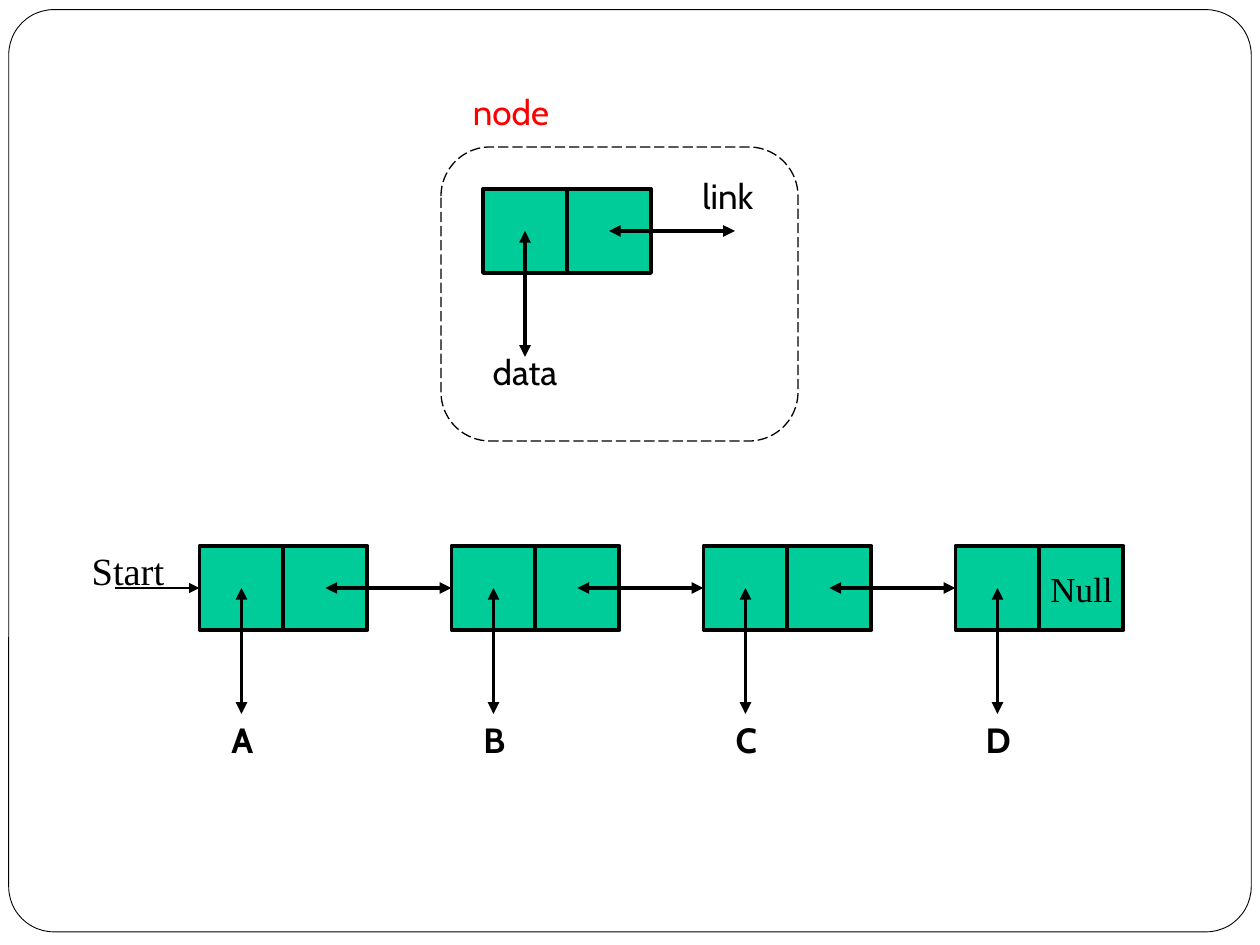
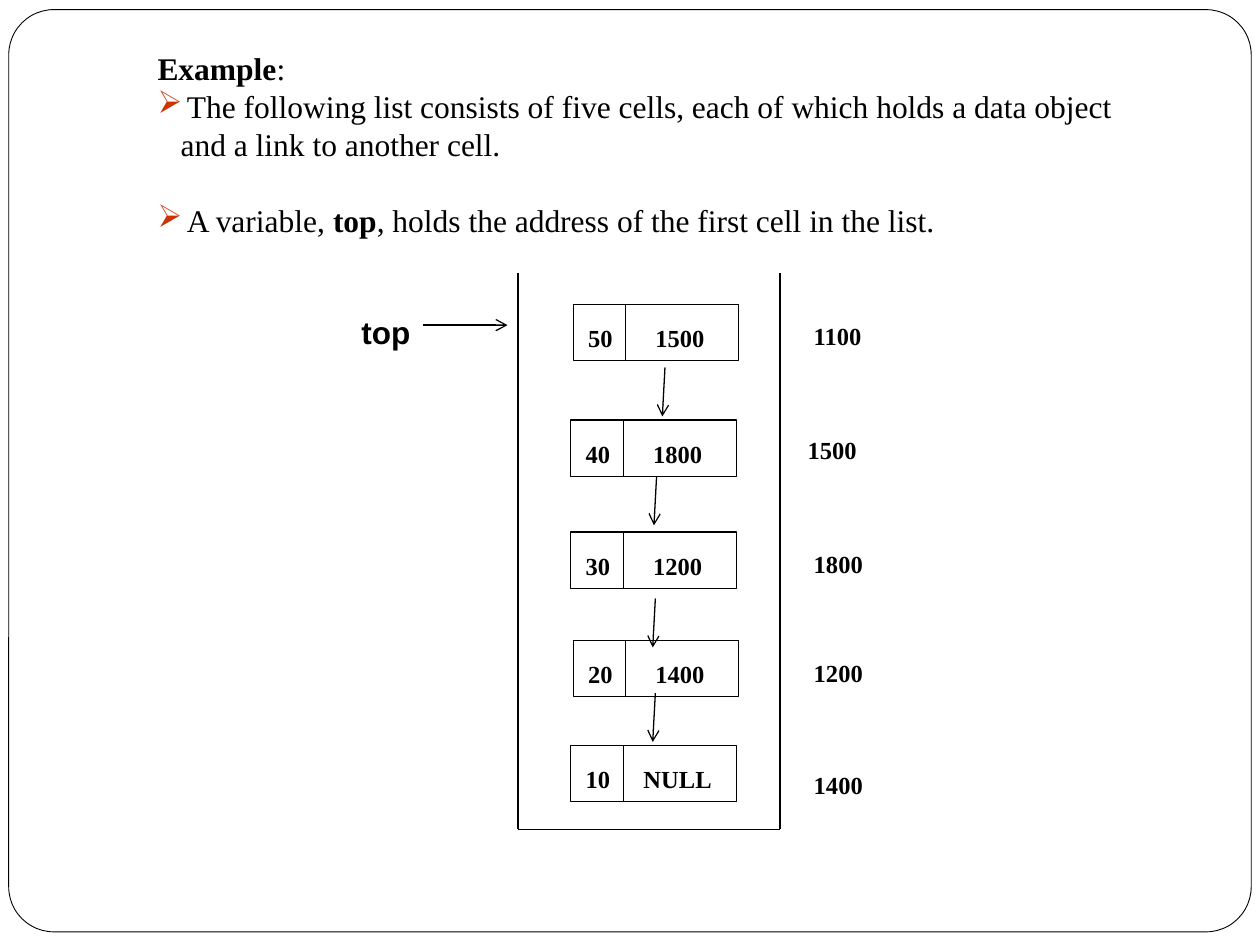
import pptx
import pptx.dml.color
import pptx.enum.dml
import pptx.enum.shapes
import pptx.enum.text
import pptx.oxml
import pptx.oxml.ns
import pptx.util

Pt = pptx.util.Pt
Shape = pptx.enum.shapes.MSO_SHAPE
Align = pptx.enum.text.PP_ALIGN
Anchor = pptx.enum.text.MSO_ANCHOR
RGB = pptx.dml.color.RGBColor.from_string
qn = pptx.oxml.ns.qn

COLORS = {"ink": "000000", "paper": "FFFFFF", "cell": "00CC99",
          "accent": "FF0000", "bullet": "CC3300"}
SERIF, SANS, LABEL = "Times New Roman", "Arial", "Cabin"


def add_box(page, text, left, top, width, height, shape=None, fill=None, line=0.75,
            corner=None, font=SERIF, size=14, bold=False, color="ink", align=Align.LEFT):
    """Add a text box, or an outlined preset shape when shape is given."""
    place = Pt(left), Pt(top), Pt(width), Pt(height)
    if shape is None:
        box = page.shapes.add_textbox(*place)
    else:
        box = page.shapes.add_shape(shape, *place)
        box.shadow.inherit = False
        box.line.color.rgb = RGB(COLORS["ink"])
        box.line.width = Pt(line)
        if fill:
            box.fill.solid()
            box.fill.fore_color.rgb = RGB(COLORS[fill])
        else:
            box.fill.background()
        if corner is not None:
            box.adjustments[0] = corner
    frame = box.text_frame
    frame.word_wrap = True
    frame.margin_left = frame.margin_right = frame.margin_top = frame.margin_bottom = 0
    frame.vertical_anchor = Anchor.TOP if shape is None else Anchor.MIDDLE
    if text:
        para = frame.paragraphs[0]
        para.alignment = align
        span = para.add_run()
        span.text = text
        span.font.name, span.font.size, span.font.bold = font, Pt(size), bold
        span.font.color.rgb = RGB(COLORS[color])
    return box


def add_line(page, x1, y1, x2, y2, width=0.75, head=None, tail=None):
    line = page.shapes.add_connector(pptx.enum.shapes.MSO_CONNECTOR.STRAIGHT,
                                     Pt(x1), Pt(y1), Pt(x2), Pt(y2))
    line.line.color.rgb = RGB(COLORS["ink"])
    line.line.width = Pt(width)
    outline = line.line._get_or_add_ln()
    for tag, kind in (("a:headEnd", head), ("a:tailEnd", tail)):
        if kind:
            outline.append(pptx.oxml.parse_xml(
                f'<{tag} {pptx.oxml.ns.nsdecls("a")} type="{kind}"/>'))
    line._element.spPr.append(pptx.oxml.parse_xml(
        f'<a:effectLst {pptx.oxml.ns.nsdecls("a")}/>'))


deck = pptx.Presentation()
deck.slide_width, deck.slide_height = Pt(720), Pt(540)
pages = [deck.slides.add_slide(deck.slide_layouts[6]) for number in range(2)]
for page in pages:
    add_box(page, "", 5, 5.5, 710, 527, shape=Shape.ROUNDED_RECTANGLE,
            line=0.5, corner=0.049)

# Slide 1: one node enlarged, and a list of four nodes
page = pages[0]
CELL = 48
ARROW = 72
STEP = 3 * CELL
LIST_LEFT, LIST_TOP = 114, 312
NODE_LEFT, NODE_TOP = 276, 108

outline = add_box(page, "", 252, 84, 204, 168, shape=Shape.ROUNDED_RECTANGLE, corner=0.167)
outline.line.dash_style = pptx.enum.dml.MSO_LINE.LONG_DASH
for text, center, top, color in (("node", 292, 51.6, "accent"),
                                 ("link", 416, 99.6, "ink"),
                                 ("data", 300, 200.2, "ink")):
    add_box(page, text, center - 40, top, 80, 24, font=LABEL, size=20,
            color=color, align=Align.CENTER)

nodes = [(NODE_LEFT, NODE_TOP, None)]
nodes += [(LIST_LEFT + STEP * index, LIST_TOP, name) for index, name in enumerate("ABCD")]
for left, top, name in nodes:
    is_last = name == "D"
    middle = top + CELL / 2
    data_x, link_x = left + CELL / 2, left + CELL * 1.5
    for cell_left, text in ((left, ""), (left + CELL, "Null" if is_last else "")):
        add_box(page, text, cell_left, top, CELL, CELL, shape=Shape.RECTANGLE,
                fill="cell", line=2.25, size=20, align=Align.CENTER)
    add_line(page, data_x, middle, data_x, middle + ARROW, 2.25, "triangle", "triangle")
    if not is_last:
        add_line(page, link_x, middle, link_x + ARROW, middle, 2.25, "triangle", "triangle")
    if name:
        add_box(page, name, left + 0.5, 410.4, CELL, 24, font=LABEL, size=20,
                bold=True, align=Align.CENTER)

add_line(page, 66, LIST_TOP + CELL / 2, LIST_LEFT, LIST_TOP + CELL / 2, tail="triangle")
add_box(page, "Start", 52.4, 312.5, 60, 27, size=22)

# Slide 2: a linked list in memory
page = pages[1]
LINE_PITCH = 21.7
paragraphs = [  # spans with their weight, left margin, bullet, space before
    ([("Example", True), (":", False)], 0, False, 0),
    ([("The following list consists of five cells, each of which holds a data object",
       False)], 16.8, True, 0),
    ([("and a link to another cell.", False)], 13.2, False, 0),
    ([("A variable, ", False), ("top", True),
      (", holds the address of the first cell in the list.", False)], 16.8, True, LINE_PITCH),
]
frame = add_box(page, "", 90, 28, 575, 112).text_frame
for index, (spans, margin, bulleted, before) in enumerate(paragraphs):
    para = frame.add_paragraph() if index else frame.paragraphs[0]
    properties = para._p.get_or_add_pPr()
    properties.set("marL", str(Pt(margin)))
    if bulleted:
        properties.set("indent", str(-Pt(margin)))
        bullet_color = properties.makeelement(qn("a:buClr"), {})
        bullet_color.append(properties.makeelement(qn("a:srgbClr"), {"val": COLORS["bullet"]}))
        properties.append(bullet_color)
        properties.append(properties.makeelement(qn("a:buChar"), {"char": "➢"}))
    para.line_spacing = Pt(LINE_PITCH)
    para.space_before = Pt(before)
    for text, bold in spans:
        span = para.add_run()
        span.text = text
        span.font.name, span.font.size, span.font.bold = SERIF, Pt(18), bold
        span.font.color.rgb = RGB(COLORS["ink"])

WALL_LEFT, WALL_RIGHT, WALL_TOP, WALL_BOTTOM = 296, 445.8, 156, 474
for x in (WALL_LEFT, WALL_RIGHT):
    add_line(page, x, WALL_TOP, x, WALL_BOTTOM)
add_line(page, WALL_LEFT, WALL_BOTTOM, WALL_RIGHT, WALL_BOTTOM)

CELL_WIDTH, CELL_HEIGHT, DIVIDER = 94.5, 32.2, 30
memory_cells = [  # data, link, left, top, address, address left, address top
    ("50", "1500", 327.6, 174, "1100", 465, 183.6),
    ("40", "1800", 326.2, 240, "1500", 461.5, 248.4),
    ("30", "1200", 326.2, 304, "1800", 465, 314),
    ("20", "1400", 327.6, 366, "1200", 465, 375.8),
    ("10", "NULL", 326.2, 426, "1400", 465, 440),
]
for data, link, left, top, address, address_left, address_top in memory_cells:
    add_box(page, "", left, top, CELL_WIDTH, CELL_HEIGHT, shape=Shape.RECTANGLE, fill="paper")
    add_line(page, left + DIVIDER, top, left + DIVIDER, top + CELL_HEIGHT)
    for text, text_left, width in ((data, left, DIVIDER + 1), (link, left + DIVIDER, 62)):
        add_box(page, text, text_left, top + 10.8, width, 17, bold=True, align=Align.CENTER)
    add_box(page, address, address_left, address_top, 40, 17, bold=True)

for x, y in ((380, 210), (375.2, 272.2), (374.5, 342), (374.5, 396)):
    add_line(page, x, y, x - 1.5, y + 28, tail="arrow")

add_box(page, "top", 206.5, 178.6, 40, 22, font=SANS, size=18, bold=True)
add_line(page, 242, 185.8, 290, 185.8, tail="arrow")

deck.save("out.pptx")
